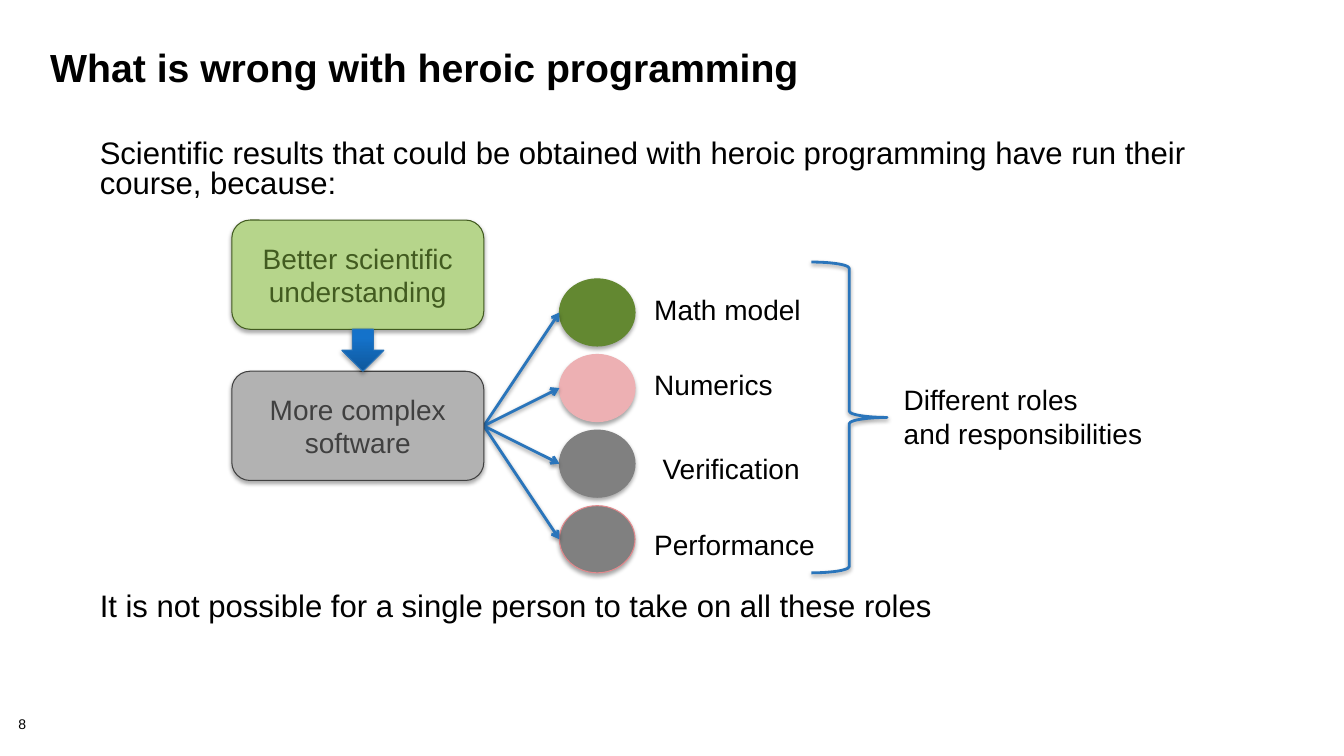
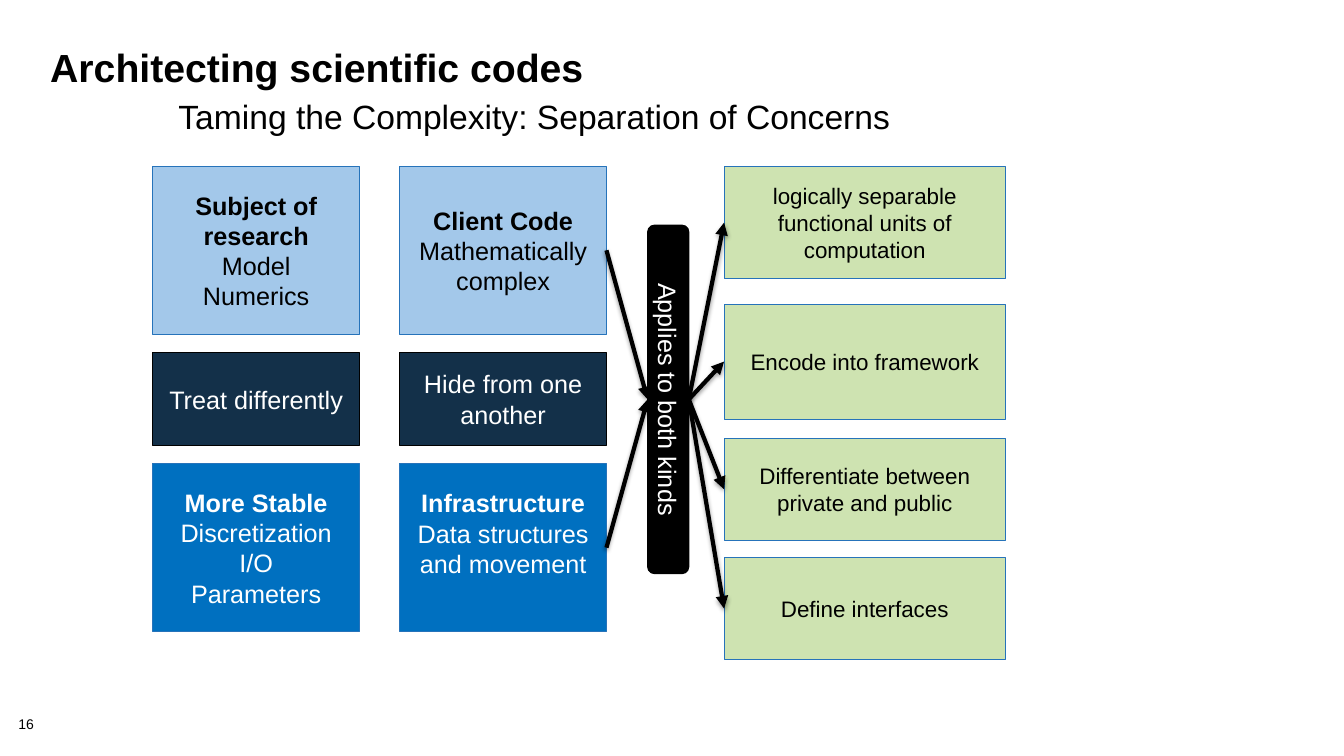
from dataclasses import dataclass

from lxml.etree import SubElement
from pptx import Presentation
from pptx.dml.color import RGBColor
from pptx.enum.shapes import MSO_CONNECTOR as Connector, MSO_SHAPE as Preset
from pptx.enum.text import MSO_ANCHOR as Anchor, PP_ALIGN as Align
from pptx.oxml.ns import qn
from pptx.util import Inches, Pt

SLIDE_WIDTH, SLIDE_HEIGHT = Inches(13.33), Inches(7.5)
COLUMNS, ROWS = 160, 90


@dataclass(frozen=True)
class Theme:
    font: str = "Arial"
    black: str = "000000"
    white: str = "FFFFFF"
    accent: str = "2A75BB"
    edge: str = "2673BA"
    pale_blue: str = "A3C8EA"
    mid_blue: str = "0070C0"
    navy: str = "133049"
    pale_green: str = "CEE3B1"
    leaf: str = "B6D58B"
    forest: str = "425B20"
    olive: str = "638831"
    pink: str = "EDB0B3"
    rose: str = "E3888C"
    silver: str = "B2B2B2"
    gray: str = "808080"
    charcoal: str = "404040"
    arrow_dark: str = "0F589C"
    arrow_light: str = "1472CA"
    title: float = 28
    subtitle: float = 24
    body: float = 22.2
    label: float = 20
    block: float = 18
    principle: float = 16
    number: float = 10
    hairline: float = 0.75
    shape_shadow: tuple = (23000, 35000)
    line_shadow: tuple = (20000, 38000)


THEME = Theme()


@dataclass(frozen=True)
class Box:
    left: float
    top: float
    width: float
    height: float

    def area(self, column, row, width, height):
        return Box(self.left + column, self.top + row, width, height)

    @property
    def left_middle(self):
        return self.left, self.top + self.height / 2

    @property
    def right_middle(self):
        return self.left + self.width, self.top + self.height / 2

    @property
    def emu(self):
        return (across(self.left), down(self.top),
                across(self.width), down(self.height))


PAGE = Box(0, 0, COLUMNS, ROWS)


def across(columns):
    return round(SLIDE_WIDTH * columns / COLUMNS)


def down(rows):
    return round(SLIDE_HEIGHT * rows / ROWS)


def rgb(color):
    return RGBColor.from_string(color)


def cast_shadow(item, shadow=None):
    properties = item.element.spPr
    effects = properties.find(qn("a:effectLst"))
    if effects is None:
        effects = SubElement(properties, qn("a:effectLst"))
    if shadow:
        distance, alpha = shadow
        outer = SubElement(effects, qn("a:outerShdw"), blurRad="40000",
                           dist=str(distance), dir="5400000", rotWithShape="0")
        tint = SubElement(outer, qn("a:srgbClr"), val=THEME.black)
        SubElement(tint, qn("a:alpha"), val=str(alpha))


def write(frame, lines, size, color=THEME.black, bold_lines=0,
          align=Align.LEFT, anchor=Anchor.TOP, spacing=None):
    frame.word_wrap = True
    frame.vertical_anchor = anchor
    for index, line in enumerate(lines):
        paragraph = frame.add_paragraph() if index else frame.paragraphs[0]
        paragraph.text = line
        paragraph.alignment = align
        if spacing:
            paragraph.line_spacing = spacing
        font = paragraph.font
        font.name, font.size = THEME.font, Pt(size)
        font.bold = index < bold_lines
        font.color.rgb = rgb(color)


def add_text(slide, box, lines, size, **style):
    frame = slide.shapes.add_textbox(*box.emu).text_frame
    write(frame, lines, size, **style)
    return frame


def add_preset(slide, preset, box, fill, edge, weight=THEME.hairline, shadow=None):
    shape = slide.shapes.add_shape(preset, *box.emu)
    if fill:
        shape.fill.solid()
        shape.fill.fore_color.rgb = rgb(fill)
    else:
        shape.fill.background()
    shape.line.color.rgb = rgb(edge)
    shape.line.width = Pt(weight)
    shape.shadow.inherit = False
    cast_shadow(shape, shadow)
    return shape


def add_block(slide, box, lines, size, fill, edge, color,
              preset=Preset.RECTANGLE, bold_lines=0, shadow=None):
    block = add_preset(slide, preset, box, fill, edge, shadow=shadow)
    write(block.text_frame, lines, size, color, bold_lines, Align.CENTER, Anchor.MIDDLE)
    return block


def add_arrow(slide, start, end, color, weight, head):
    arrow = slide.shapes.add_connector(
        Connector.STRAIGHT, across(start[0]), down(start[1]), across(end[0]), down(end[1]))
    arrow.line.color.rgb = rgb(color)
    arrow.line.width = Pt(weight)
    SubElement(arrow.element.spPr.find(qn("a:ln")), qn("a:tailEnd"), type=head)
    cast_shadow(arrow, THEME.line_shadow)


def start_slide(deck, title, number):
    slide = deck.slides.add_slide(deck.slide_layouts[6])
    number_frame = add_text(slide, PAGE.area(2.2, 85.4, 6.7, 2), [number],
                            THEME.number, spacing=0.9)
    number_frame.margin_left = number_frame.margin_right = 0
    number_frame.margin_top = number_frame.margin_bottom = 0
    add_text(slide, PAGE.area(4.8, 5.4, 149.3, 12), [title], THEME.title,
             bold_lines=1, spacing=0.85)
    return slide


def draw_causes(slide, box):
    causes = [
        (0, "Better scientific understanding", THEME.leaf, THEME.forest),
        (18, "More complex software", THEME.silver, THEME.charcoal),
    ]
    for row, cause, fill, ink in causes:
        add_block(slide, box.area(0, row, box.width, 13), [cause], THEME.label,
                  fill, ink, ink, Preset.ROUNDED_RECTANGLE, shadow=THEME.shape_shadow)
    leads_to = add_preset(slide, Preset.DOWN_ARROW, box.area(13.1, 13, 5, 5),
                          THEME.arrow_light, THEME.edge, shadow=THEME.shape_shadow)
    leads_to.fill.gradient()
    leads_to.fill.gradient_angle = 90
    stops = zip(leads_to.fill.gradient_stops, (0, 0.8),
                (THEME.arrow_dark, THEME.arrow_light))
    for stop, position, color in stops:
        stop.position = position
        stop.color.rgb = rgb(color)


def draw_roles(slide, box, source):
    roles = [
        ("Math model", THEME.olive, THEME.olive, 0, 0),
        ("Numerics", THEME.pink, THEME.pink, 0, 0),
        ("Verification", THEME.gray, THEME.gray, 1, 1),
        ("Performance", THEME.gray, THEME.rose, 0, 1),
    ]
    pitch = box.height / len(roles)
    for index, (role, fill, edge, shift, drop) in enumerate(roles):
        row = index * pitch
        dot = box.area(0, row, 9, 8)
        add_preset(slide, Preset.OVAL, dot, fill, edge, shadow=THEME.shape_shadow)
        add_arrow(slide, source, dot.left_middle, THEME.accent, 2, "arrow")
        add_text(slide, box.area(10.1 + shift, row + 1 + drop, 24, 5.3),
                 [role], THEME.label)


def draw_summary(slide, box):
    add_preset(slide, Preset.RIGHT_BRACE, box.area(0, 0, 9, box.height),
               None, THEME.accent, 2, THEME.line_shadow)
    add_text(slide, box.area(9.8, 13.8, 38, 9.2),
             ["Different roles", "and responsibilities"], THEME.label)


def build_heroic_slide(deck):
    slide = start_slide(deck, "What is wrong with heroic programming", "8")
    statements = [
        (16.2, "Scientific results that could be obtained with heroic programming "
               "have run their course, because:"),
        (70.1, "It is not possible for a single person to take on all these roles"),
    ]
    for row, statement in statements:
        add_text(slide, PAGE.area(10.7, row, 134, 8), [statement], THEME.body, spacing=0.8)
    causes = PAGE.area(27.6, 26.2, 30, 31)
    draw_summary(slide, PAGE.area(96.6, 31.2, 48, 37))
    draw_roles(slide, PAGE.area(66.6, 33.2, 34, 36), causes.area(0, 18, 30, 13).right_middle)
    draw_causes(slide, causes)


def draw_concerns(slide, box):
    concerns = [
        [["Subject of research", "Model", "Numerics"],
         ["Treat differently"],
         ["More Stable", "Discretization", "I/O", "Parameters"]],
        [["Client Code", "Mathematically complex"],
         ["Hide from one another"],
         ["Infrastructure", "Data structures and movement"]],
    ]
    bands = [
        (20, THEME.pale_blue, THEME.edge, THEME.black, 1),
        (11, THEME.navy, THEME.black, THEME.white, 0),
        (20, THEME.mid_blue, THEME.edge, THEME.white, 1),
    ]
    width, column_gap, row_gap = 24.6, 4.8, 2.2
    for column, texts in enumerate(concerns):
        row = 0
        for lines, (height, fill, edge, ink, bold_lines) in zip(texts, bands):
            concern = add_block(
                slide, box.area(column * (width + column_gap), row, width, height),
                lines, THEME.block, fill, edge, ink, bold_lines=bold_lines)
            if lines[0] == "Infrastructure":
                concern.text_frame.margin_bottom = down(4.1)
            row += height + row_gap


def draw_principles(slide, box):
    principles = [
        (0, 13.4, "logically separable functional units of computation"),
        (16.4, 13.7, "Encode into framework"),
        (32.4, 12.1, "Differentiate between private and public"),
        (46.6, 12.1, "Define interfaces"),
    ]
    blocks = []
    for row, height, principle in principles:
        blocks.append(box.area(0, row, box.width, height))
        add_block(slide, blocks[-1], [principle], THEME.principle,
                  THEME.pale_green, THEME.edge, THEME.black)
    return [block.left_middle for block in blocks]


def draw_bridge(slide, box):
    lying = box.area((box.width - box.height) / 2, (box.height - box.width) / 2,
                     box.height, box.width)
    bridge = add_block(slide, lying, ["Applies to both kinds"], THEME.block, THEME.black,
                       THEME.black, THEME.white, Preset.ROUNDED_RECTANGLE)
    bridge.rotation = 90


def build_architecture_slide(deck):
    slide = start_slide(deck, "Architecting scientific codes", "16")
    add_text(slide, PAGE.area(13.1, 11.4, 101, 8.4),
             ["Taming the Complexity: Separation of Concerns"],
             THEME.subtitle, align=Align.CENTER, spacing=0.9)
    concerns = PAGE.area(18.2, 19.8, 54, 55.4)
    bridge = PAGE.area(77.1, 26.8, 4.9, 41.5)
    draw_concerns(slide, concerns)
    targets = draw_principles(slide, PAGE.area(86.2, 19.8, 33.5, 58.7))
    draw_bridge(slide, bridge)
    for row in (0, 35.4):
        source = concerns.area(0, row, concerns.width, 20).right_middle
        add_arrow(slide, source, bridge.left_middle, THEME.black, 3, "triangle")
    for target in targets:
        add_arrow(slide, bridge.right_middle, target, THEME.black, 3, "triangle")


def main():
    deck = Presentation()
    deck.slide_width, deck.slide_height = SLIDE_WIDTH, SLIDE_HEIGHT
    build_heroic_slide(deck)
    build_architecture_slide(deck)
    deck.save("out.pptx")


if __name__ == "__main__":
    main()
